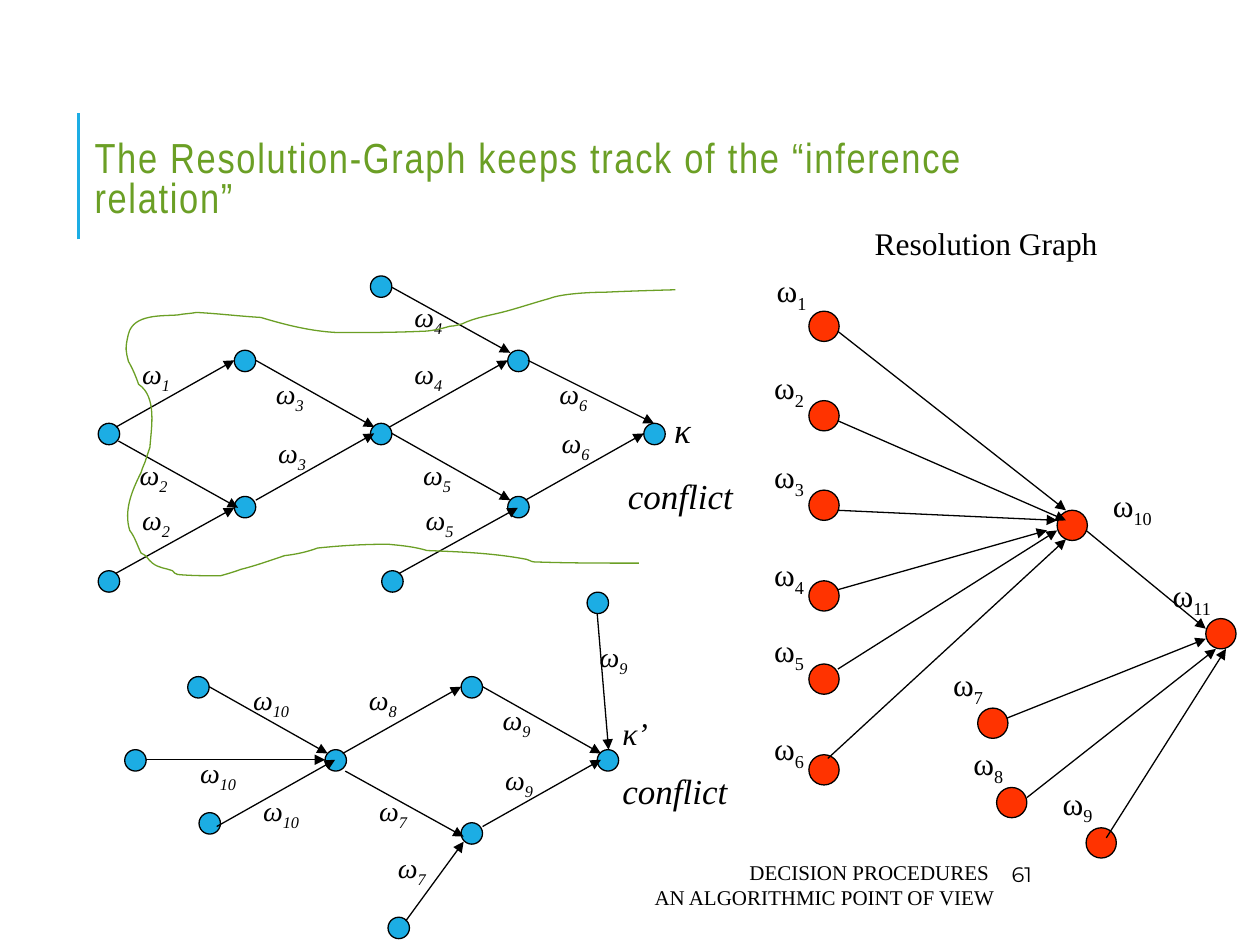
from lxml import etree
from pptx import Presentation, util as u
from pptx.dml.color import RGBColor
from pptx.enum import shapes, text
from pptx.oxml.ns import qn

HUES = {"ink": "000000", "blue": "1CADE4", "red": "FF3300", "green": "6B9F25"}
SERIF = "Times New Roman"
LEFT, MID, RIGHT = text.PP_ALIGN.LEFT, text.PP_ALIGN.CENTER, text.PP_ALIGN.RIGHT


class Board:
    """Style and slide, on a grid of 100 columns by 75 rows."""

    def __init__(self, deck):
        self.slide = deck.slides.add_slide(deck.slide_layouts[5])
        self.items = self.slide.shapes
        self.col = deck.slide_width / 100
        self.row = deck.slide_height / 75

    def grid(self, x, y):
        return u.Emu(round(x * self.col)), u.Emu(round(y * self.row))

    def hue(self, name):
        return RGBColor.from_string(HUES[name])

    def pen(self, line, hue="ink", width=0.75):
        line.color.rgb = self.hue(hue)
        line.width = u.Pt(width)

    def run(self, para, words, size, face=SERIF, hue="ink", slant=False, sub=False):
        run = para.add_run()
        run.text = words
        font = run.font
        font.size, font.name, font.italic = u.Pt(size), face, slant
        font.color.rgb = self.hue(hue)
        if sub:
            font._element.set("baseline", "-25000")
        return run

    def title(self, words, x, y, w, h):
        box = self.items.title
        box.left, box.top = self.grid(x, y)
        box.width, box.height = self.grid(w, h)
        frame = box.text_frame
        frame.auto_size = text.MSO_AUTO_SIZE.NONE
        frame.vertical_anchor = text.MSO_ANCHOR.MIDDLE
        para = frame.paragraphs[0]
        para.alignment, para.line_spacing = LEFT, 0.8
        run = self.run(para, words, 24, "Arial Narrow", "green")
        run.font._element.set("spc", "100")

    def box(self, x, y, w, h, align=LEFT, grow=True):
        frame = self.items.add_textbox(*self.grid(x, y), *self.grid(w, h)).text_frame
        frame.word_wrap = True
        if grow:
            frame.auto_size = text.MSO_AUTO_SIZE.SHAPE_TO_FIT_TEXT
        else:
            frame.vertical_anchor = text.MSO_ANCHOR.MIDDLE
        frame.paragraphs[0].alignment = align
        return frame

    def omega(self, num, x, y, clause):
        """Upright label for a clause node, slanted label for an edge."""
        wide = num > 9
        if clause:
            size, frame = 18, self.box(x, y, 5.4 if wide else 4.6, 4, RIGHT)
        else:
            size, frame = 16, self.box(x, y, 7.5 if wide else 5.2, 3.7)
        para = frame.paragraphs[0]
        self.run(para, "ω", size, slant=not clause)
        self.run(para, str(num), size, slant=not clause, sub=True)

    def clash(self, sign, size, x, y, w, h, align, gap, lead=""):
        frame = self.box(x, y, w, h, align)
        para = frame.paragraphs[0]
        if lead:
            self.run(para, lead, 16, slant=True, sub=True)
        self.run(para, sign, size, slant=True)
        para = frame.add_paragraph()
        para.alignment, para.space_before = align, u.Pt(gap)
        self.run(para, "conflict", 20, slant=True)

    def node(self, x, y, size, hue):
        dot = self.items.add_shape(shapes.MSO_SHAPE.OVAL, *self.grid(x, y), *self.grid(size, size))
        dot.shadow.inherit = False
        dot.fill.solid()
        dot.fill.fore_color.rgb = self.hue(hue)
        self.pen(dot.line)

    def line(self, x1, y1, x2, y2, hue="ink", width=0.75, arrow=True):
        link = self.items.add_connector(
            shapes.MSO_CONNECTOR.STRAIGHT, *self.grid(x1, y1), *self.grid(x2, y2))
        self.pen(link.line, hue, width)
        props = link.element.spPr
        if arrow:
            etree.SubElement(props.find(qn("a:ln")), qn("a:tailEnd"), type="triangle")
        etree.SubElement(props, qn("a:effectLst"))

    def curve(self, start, bends, hue):
        """Open curve; each bend is two control points and an end point."""
        dots = [self.grid(*bend[k:k + 2]) for bend in bends for k in (0, 2, 4)]
        maker = self.items.build_freeform(*self.grid(*start))
        maker.add_line_segments(dots, close=False)
        shape = maker.convert_to_shape()
        shape.shadow.inherit = False
        shape.fill.background()
        self.pen(shape.line, hue)
        legs = list(shape.element.iter(qn("a:lnTo")))
        for trio in zip(legs[::3], legs[1::3], legs[2::3]):
            bend = etree.Element(qn("a:cubicBezTo"))
            trio[0].addprevious(bend)
            for leg in trio:
                bend.append(leg[0])
                leg.getparent().remove(leg)


# Resolution graph: clause number, node corner, label corner
CLAUSES = [
    (1, 64.2, 24.7, 60.4, 21), (2, 64.2, 31.8, 60.2, 28.7), (3, 64.2, 38.9, 60.2, 35.8),
    (4, 64.2, 46.1, 60.2, 43.6), (5, 64.2, 52.7, 60.2, 49.6), (6, 64.2, 59.9, 60.2, 57.4),
    (7, 77.6, 56.2, 74.4, 52.3), (8, 79.1, 62.5, 76, 58.6), (9, 86.2, 65.7, 83.1, 61.7),
    (10, 83.9, 40.5, 87, 38.1), (11, 95.7, 49.1, 91.7, 45.2)]
STEPS = [
    (65.7, 60.2, 84.6, 42.8), (66.5, 53.1, 83.9, 42.1), (66.5, 46.8, 83.1, 42.1),
    (66.5, 40.5, 83.9, 41.3), (66.5, 33.4, 84.6, 41.3), (66.5, 26.3, 84.6, 40.5),
    (86.2, 42.1, 95.7, 49.9), (79.9, 57, 95.7, 50.7), (81.5, 63.3, 96.5, 51.5),
    (87.8, 66.5, 97.3, 51.5)]

# Implication graphs, upper then lower
NODES = [
    (7.8, 33.6), (7.8, 45.3), (18.6, 27.8), (18.6, 39.4), (29.4, 21.9), (29.4, 33.6),
    (30.3, 45.3), (40.3, 27.8), (40.3, 39.4), (51.1, 33.6),
    (9.9, 59.5), (14.9, 53.7), (15.8, 64.5), (25.8, 59.5), (30.8, 72.8), (36.6, 53.7),
    (36.6, 65.3), (46.6, 47), (47.4, 59.5)]
EDGES = [
    (9.2, 33.9, 18.6, 28.6), (9.4, 35, 18.9, 40.3), (9.2, 45.5, 18.6, 40.3),
    (20.3, 28.6, 29.7, 33.9), (20.3, 39.7, 29.7, 34.4), (31.1, 22.8, 40.5, 28),
    (30.9, 33.9, 40.3, 28.6), (31.1, 34.4, 40.5, 39.7), (31.7, 45.5, 41.1, 40.3),
    (41.9, 28.6, 51.9, 33.6), (41.7, 39.7, 51.1, 34.4),
    (16.6, 54.5, 26, 59.8), (17.2, 65.6, 26.6, 60.3), (11.6, 60.3, 25.8, 60.3),
    (27.4, 61.2, 36.8, 66.4), (32.2, 73.1, 36.8, 66.8), (27.2, 59.8, 36.6, 54.5),
    (38.3, 65.6, 47.7, 60.3), (38.3, 54.5, 47.7, 59.8), (47.4, 48.7, 48.3, 59.5)]
LABELS = [
    (1, 10.3, 27.8), (2, 10.1, 35.8), (2, 10.3, 39.4), (3, 20.9, 29.4), (3, 21.1, 34.1),
    (4, 31.9, 23.3), (4, 31.9, 27.8), (5, 32.6, 35.8), (5, 32.8, 39.4), (6, 43.4, 29.4),
    (6, 43.6, 33.3), (7, 30.6, 67), (7, 29.1, 62.5), (8, 28.3, 53.7), (10, 19.9, 62.5),
    (10, 14.9, 59.5), (10, 19.1, 53.7), (9, 38.9, 55.3), (9, 39.1, 60), (9, 46.6, 50.3)]

# Cut through the upper graph
CUT = [
    (47.9, 44.7, 45.1, 44.7, 42.4, 44.6), (42.1, 44.6, 42, 44.4, 41.8, 44.4),
    (39.2, 43.9, 36.5, 43.8, 33.9, 43.7), (32.9, 43.4, 31.9, 43.3, 30.8, 43.2),
    (28.9, 43.2, 27.1, 43.3, 25.2, 43.5), (24.4, 43.8, 23.5, 44, 22.6, 44.1),
    (21.4, 44.5, 20.3, 44.9, 19.1, 45.2), (18.6, 45.4, 17.5, 45.7, 17.5, 45.7),
    (16.4, 45.7, 15.2, 45.7, 14.1, 45.6), (13.9, 45.6, 13.8, 45.4, 13.7, 45.3),
    (13.2, 45.1, 12.6, 45.1, 12.1, 44.7), (11.7, 44.4, 11.7, 44.1, 11.2, 43.9),
    (10.9, 43.3, 10.7, 42.6, 10.3, 42.1), (9.8, 40.5, 10.5, 38.9, 11.2, 37.5),
    (11.3, 37.1, 11.5, 36.8, 11.6, 36.4), (11.7, 36.1, 11.9, 35.5, 11.9, 35.5),
    (12, 34, 12.5, 31.5, 11, 30.5), (10.8, 29.9, 10.5, 29.2, 10.2, 28.7),
    (10, 27.9, 9.9, 27.7, 10.2, 26.5), (10.6, 24.9, 12.9, 25.1, 14.1, 25),
    (14.6, 24.9, 15.1, 24.9, 15.6, 24.8), (17.4, 24.9, 19, 25.1, 20.7, 25.2),
    (22.7, 25.8, 24.7, 26.3, 26.8, 26.4), (29, 26.4, 31.2, 26.4, 33.4, 26.3),
    (34.2, 26.3, 35, 26.1, 35.7, 25.9), (36.1, 25.9, 36.7, 25.7, 36.7, 25.7),
    (37.7, 25.2, 39.1, 25, 40.2, 24.7), (41.3, 24.4, 42.5, 24, 43.6, 23.7),
    (44.6, 23.3, 46.9, 23.2, 48, 23.2), (49.9, 23.1, 53.6, 23, 53.6, 23)]


def main():
    deck = Presentation()
    deck.slide_width, deck.slide_height = u.Inches(10), u.Inches(7.5)
    board = Board(deck)

    # Title and side rule
    board.line(6.24, 19, 6.24, 9, "blue", 1.5, arrow=False)
    board.title("The Resolution-Graph keeps track of the “inference relation”", 6.5, 6.2, 79.7, 16.4)

    # Footer and page number
    foot = board.box(28.4, 68, 51.5, 4.4, RIGHT, grow=False).paragraphs[0]
    board.run(foot, "DECISION PROCEDURES ", 12)
    foot.add_line_break()
    board.run(foot, "AN ALGORITHMIC POINT OF VIEW", 12)
    page = board.box(79.3, 67.2, 13.1, 4.4, grow=False).paragraphs[0]
    board.run(page, "61", 12, "Montserrat")

    # Resolution graph
    head = board.box(68.2, 17.3, 19.9, 4, RIGHT).paragraphs[0]
    board.run(head, "Resolution Graph", 18)
    for num, x, y, left, top in CLAUSES:
        board.node(x, y, 2.4, "red")
        board.omega(num, left, top, True)
    for step in STEPS:
        board.line(*step)

    # Implication graphs with the cut
    for x, y in NODES:
        board.node(x, y, 1.7, "blue")
    for edge in EDGES:
        board.line(*edge)
    for num, x, y in LABELS:
        board.omega(num, x, y, False)
    board.clash("κ", 20, 48.6, 31.9, 10.8, 9.3, MID, 12, " ")
    board.clash("κ’", 18, 48.4, 56.2, 11.1, 9, LEFT, 10)
    board.curve((50.7, 44.7), CUT, "green")

    deck.save("out.pptx")


if __name__ == "__main__":
    main()
